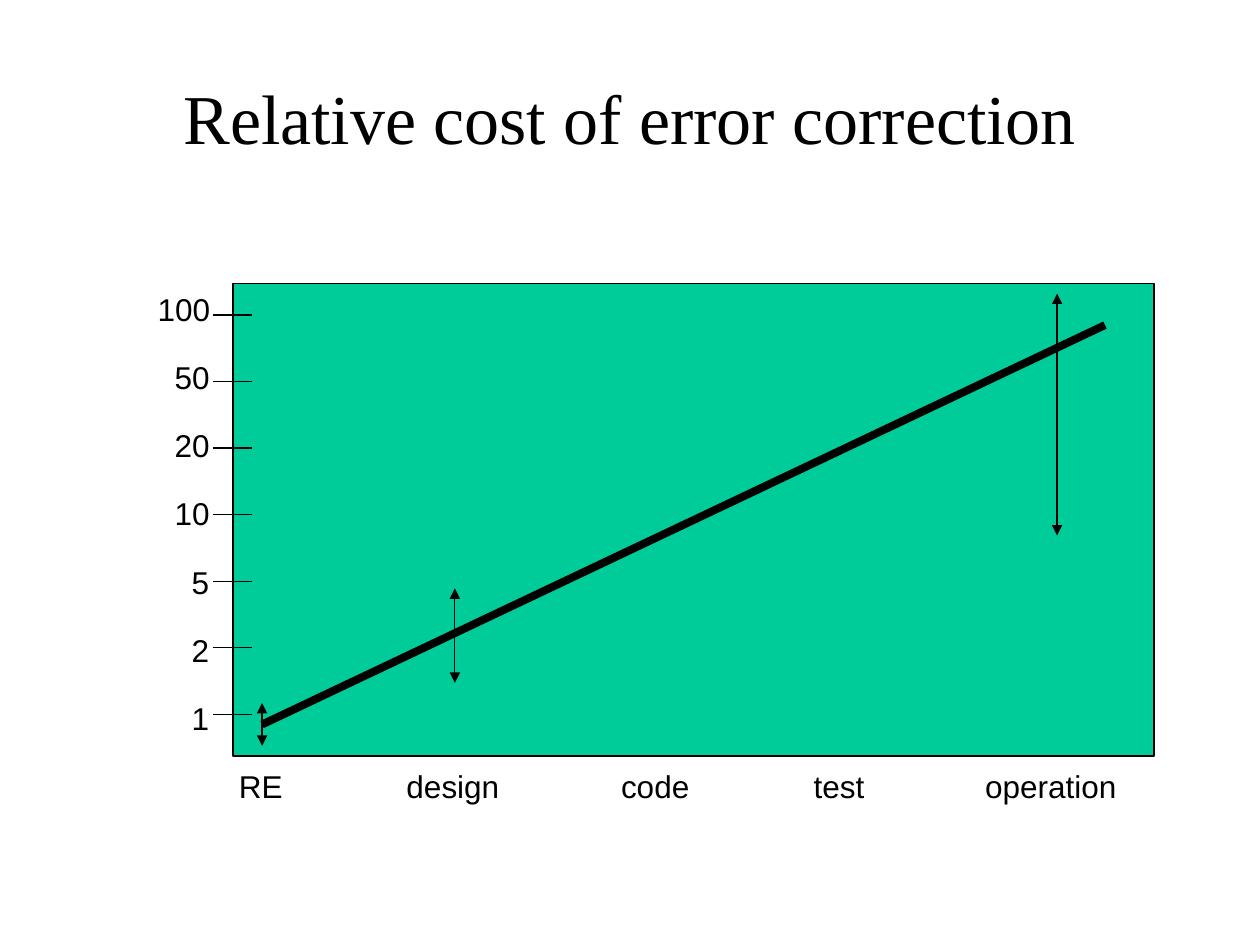
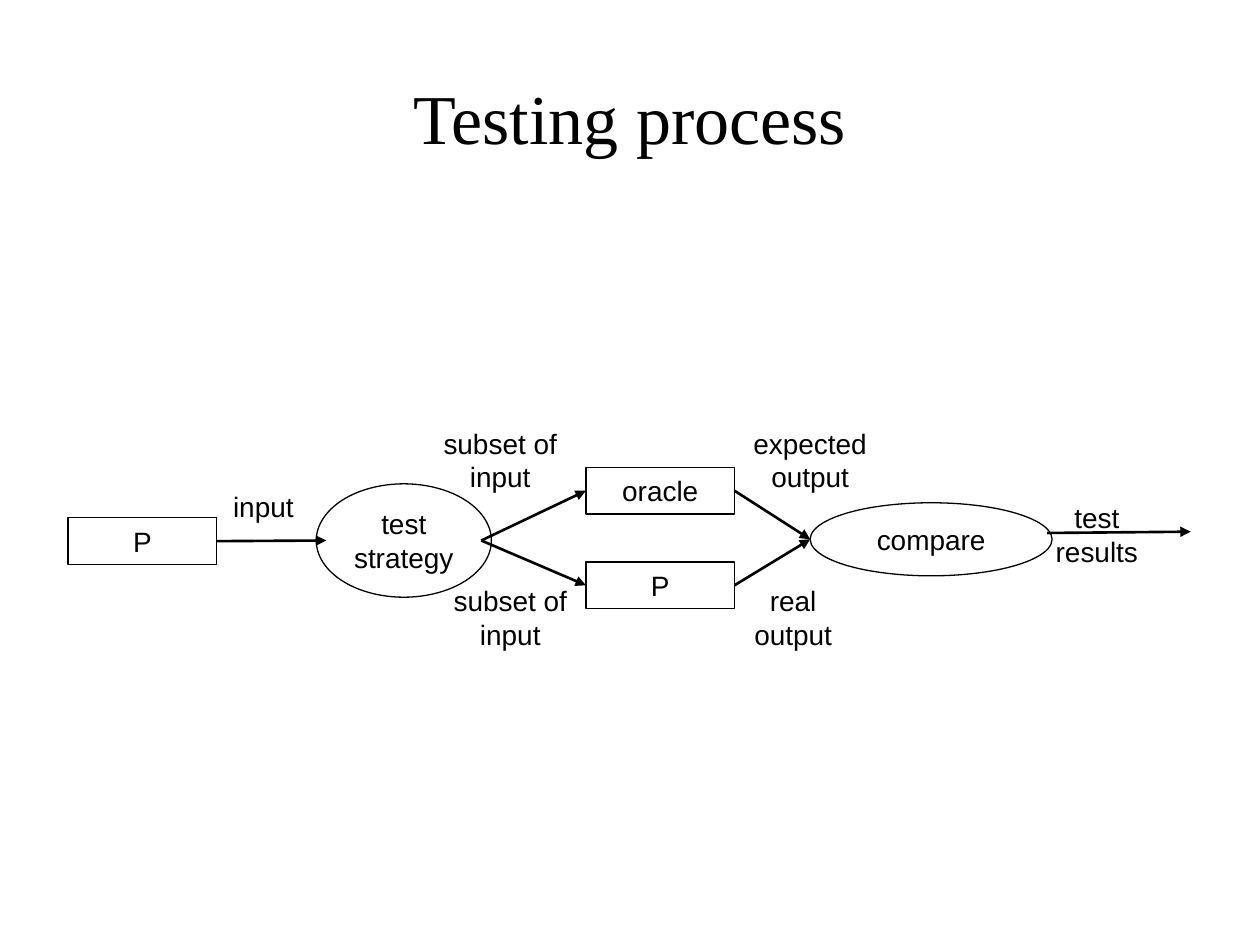
from dataclasses import dataclass

from pptx import Presentation
from pptx import util as u
from pptx.dml import color
from pptx.enum import shapes, text
from pptx.oxml import ns
from lxml import etree


@dataclass(frozen=True)
class Theme:
    ink: color.RGBColor = color.RGBColor.from_string("000000")
    plot: color.RGBColor = color.RGBColor.from_string("00CC99")
    title_font: str = "Times New Roman"
    body_font: str = "Arial"
    title_size: float = 40
    axis_size: float = 18
    flow_size: float = 16
    thin: float = 0.75
    arrow: float = 1.5
    trend: float = 4.5


THEME = Theme()
RECT = shapes.MSO_SHAPE.RECTANGLE
OVAL = shapes.MSO_SHAPE.OVAL
TOP, MIDDLE = text.MSO_ANCHOR.TOP, text.MSO_ANCHOR.MIDDLE
RIGHT_SIDE, LEFT_SIDE = 3, 1

COST_TITLE = "Relative cost of error correction"
COSTS = ["100", "50", "20", "10", "5", "2", "1"]
PHASES = [("RE", 1.8, 0.54), ("design", 3.13, 0.93), ("code", 4.83, 0.74),
          ("test", 6.36, 0.6), ("operation", 7.72, 1.24)]
PLOT = (1.85, 2.25, 7.31, 3.75)
PHASE_TICK = ((2.46, 6), (2.77, 6))
TREND = ((2.08, 5.75), (8.77, 2.58))
SPREADS = [(2.08, 5.58, 5.92), (3.61, 5.42, 4.67), (8.39, 4.25, 2.33)]

PROCESS_TITLE = "Testing process"
BOX_SIZE = (1.18, 0.37)
BOXES = {"oracle": ("oracle", 4.65, 3.71), "program": ("P", 4.65, 4.46),
         "source": ("P", 0.54, 4.11)}
OVALS = [(["test", "strategy"], (2.51, 3.84, 1.39, 0.9), False),
         (["compare"], (6.43, 3.99, 1.92, 0.58), True)]
FLOW_LABELS = [
    (["input"], (1.75, 3.83, 0.68, 0.37)),
    (["subset of", "input"], (3.42, 3.33, 1.1, 0.64)),
    (["subset of", "input"], (3.5, 4.58, 1.1, 0.64)),
    (["expected", "output"], (5.88, 3.33, 1.1, 0.64)),
    (["real", "output"], (5.89, 4.58, 0.81, 0.64)),
    (["test", "results"], (8.28, 3.92, 0.85, 0.64)),
]
STRATEGY_IN, STRATEGY_OUT = (2.59, 4.29), (3.82, 4.29)
COMPARE_IN = (6.43, 4.28)
FLOWS = [("source", STRATEGY_IN), (STRATEGY_OUT, "oracle"), ("oracle", COMPARE_IN),
         ((8.31, 4.23), (9.45, 4.22)), (STRATEGY_OUT, "program"),
         ("program", COMPARE_IN)]


def inches(lengths):
    return [u.Inches(length) for length in lengths]


def add_page(deck, heading):
    page = deck.slides.add_slide(deck.slide_layouts[5])
    title = page.shapes.title
    title.left, title.top, title.width, title.height = inches((0.5, 0.21, 9, 1.43))
    write(title, [heading], THEME.title_size, THEME.title_font)
    return page


def write(shape, lines, size, font=THEME.body_font, anchor=MIDDLE, wrap=True):
    frame = shape.text_frame
    frame.text = "\n".join(lines)
    frame.word_wrap = wrap
    frame.vertical_anchor = anchor
    frame.auto_size = text.MSO_AUTO_SIZE.NONE
    for para in frame.paragraphs:
        para.alignment = text.PP_ALIGN.CENTER
        para.font.name = font
        para.font.size = u.Pt(size)
        para.font.color.rgb = THEME.ink


def add_label(page, lines, place, size, anchor=MIDDLE):
    box = page.shapes.add_textbox(*inches(place))
    write(box, lines, size, anchor=anchor, wrap=False)


def add_outline(page, kind, place, fill=None):
    shape = page.shapes.add_shape(kind, *inches(place))
    shape.shadow.inherit = False
    if fill is None:
        shape.fill.background()
    else:
        shape.fill.solid()
        shape.fill.fore_color.rgb = fill
    shape.line.color.rgb = THEME.ink
    shape.line.width = u.Pt(THEME.thin)
    return shape


def add_line(page, start, end, width=THEME.thin, arrows=()):
    line = page.shapes.add_connector(shapes.MSO_CONNECTOR.STRAIGHT,
                                     *inches((*start, *end)))
    line.line.color.rgb = THEME.ink
    line.line.width = u.Pt(width)
    properties = line._element.spPr
    outline = properties.find(ns.qn("a:ln"))
    for arrow in arrows:
        etree.SubElement(outline, ns.qn(f"a:{arrow}"), type="triangle")
    etree.SubElement(properties, ns.qn("a:effectLst"))
    return line


def build_cost_page(deck):
    page = add_page(deck, COST_TITLE)
    add_outline(page, RECT, PLOT, THEME.plot)
    tick_gap, label_gap = 3.17 / 6, 3.25 / 6
    for row, cost in enumerate(COSTS):
        tick = 2.5 + row * tick_gap
        add_line(page, (1.69, tick), (2, tick))
        width = 0.21 + 0.13 * len(cost)
        add_label(page, [cost], (1.76 - width, 2.25 + row * label_gap, width, 0.4),
                  THEME.axis_size, TOP)
    add_line(page, *PHASE_TICK)
    for phase, left, width in PHASES:
        add_label(page, [phase], (left, 6.04, width, 0.4), THEME.axis_size, TOP)
    add_line(page, *TREND, THEME.trend)
    for x, start, end in SPREADS:
        add_line(page, (x, start), (x, end), arrows=("headEnd", "tailEnd"))


def build_process_page(deck):
    page = add_page(deck, PROCESS_TITLE)
    boxes = {}
    for name, (caption, left, top) in BOXES.items():
        boxes[name] = add_outline(page, RECT, (left, top, *BOX_SIZE))
        write(boxes[name], [caption], THEME.flow_size)
    for lines, place, wrap in OVALS:
        write(add_outline(page, OVAL, place), lines, THEME.flow_size, wrap=wrap)
    for lines, place in FLOW_LABELS:
        add_label(page, lines, place, THEME.flow_size)
    for start, end in FLOWS:
        first = (0, 0) if start in boxes else start
        last = (0, 0) if end in boxes else end
        flow = add_line(page, first, last, THEME.arrow, ("tailEnd",))
        if start in boxes:
            flow.begin_connect(boxes[start], RIGHT_SIDE)
        if end in boxes:
            flow.end_connect(boxes[end], LEFT_SIDE)


def main():
    deck = Presentation()
    deck.slide_width, deck.slide_height = inches((10, 7.5))
    build_cost_page(deck)
    build_process_page(deck)
    deck.save("out.pptx")


if __name__ == "__main__":
    main()
